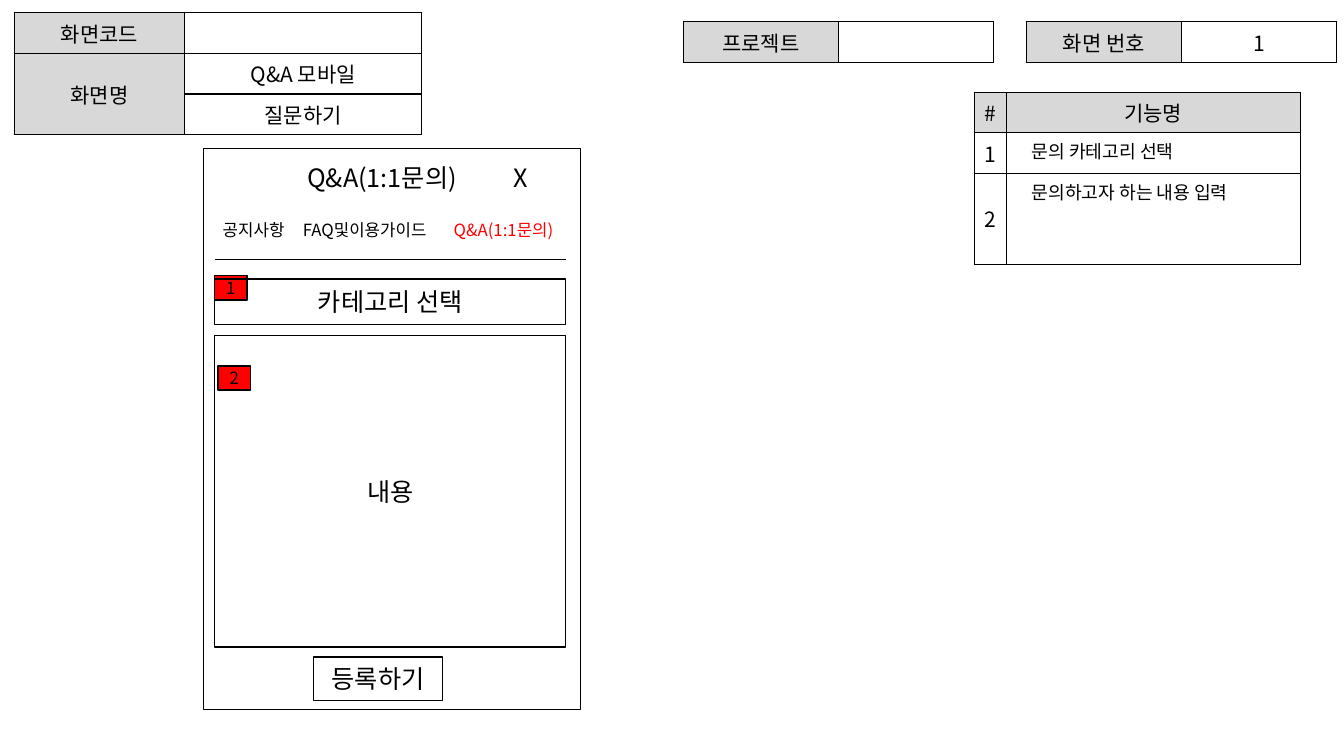
from lxml.etree import SubElement
from pptx import Presentation
from pptx.dml.color import RGBColor
from pptx.enum.shapes import MSO_CONNECTOR, MSO_SHAPE
from pptx.enum.text import MSO_ANCHOR, MSO_AUTO_SIZE, PP_ALIGN
from pptx.oxml import parse_xml
from pptx.oxml.ns import nsdecls, qn
from pptx.util import Pt

FONT = "Noto Sans CJK KR"
INK = {"black": "000000", "white": "FFFFFF", "gray": "D8D8D8", "red": "FF0000"}
BOX = {"word_wrap": True, "vertical_anchor": MSO_ANCHOR.MIDDLE}
NOTE = {"word_wrap": True, "auto_size": MSO_AUTO_SIZE.SHAPE_TO_FIT_TEXT}


def apply(item, form):
    for name, value in form.items():
        setattr(item, name, value)


def color(name):
    return RGBColor.from_string(INK[name])


def paint(fill, name):
    fill.solid()
    fill.fore_color.rgb = color(name)


def add_run(para, text, size, ink="black"):
    run = para.add_run()
    run.text = text
    apply(run.font, {"name": FONT, "size": Pt(size)})
    run.font.color.rgb = color(ink)
    SubElement(run.font._element, qn("a:ea"), typeface=FONT)


def add_tabs(para, stops):
    tabs = SubElement(para._p.get_or_add_pPr(), qn("a:tabLst"))
    for stop in stops:
        SubElement(tabs, qn("a:tab"), pos=str(Pt(stop)), algn="l")


def add_box(slide, area, text="", size=18, fill=None):
    box = slide.shapes.add_shape(MSO_SHAPE.RECTANGLE, *map(Pt, area))
    box.shadow.inherit = False
    if fill:
        paint(box.fill, fill)
    else:
        box.fill.background()
    box.line.width = Pt(1)
    box.line.color.rgb = color("black")
    apply(box.text_frame, BOX)
    if text:
        para = box.text_frame.paragraphs[0]
        para.alignment = PP_ALIGN.CENTER
        add_run(para, text, size)


def add_note(slide, area, runs, size, stops):
    frame = slide.shapes.add_textbox(*map(Pt, area)).text_frame
    apply(frame, NOTE)
    para = frame.paragraphs[0]
    add_tabs(para, stops)
    for text, ink in runs:
        add_run(para, text, size, ink)


def add_rule(slide, left, right, top):
    rule = slide.shapes.add_connector(
        MSO_CONNECTOR.STRAIGHT, Pt(left), Pt(top), Pt(right), Pt(top))
    rule.line.width = Pt(0.5)
    rule.line.color.rgb = color("black")
    SubElement(rule._element.spPr, qn("a:effectLst"))


def add_edges(cell):
    props = cell._tc.get_or_add_tcPr()
    for spot, side in enumerate("LRTB"):
        props.insert(spot, parse_xml(
            f'<a:ln{side} {nsdecls("a")} w="{Pt(1)}"><a:solidFill>'
            f'<a:srgbClr val="{INK["black"]}"/></a:solidFill></a:ln{side}>'))


def fill_cell(cell, text, shade, left=False):
    paint(cell.fill, shade)
    add_edges(cell)
    cell.vertical_anchor = MSO_ANCHOR.TOP if left else MSO_ANCHOR.MIDDLE
    para = cell.text_frame.paragraphs[0]
    if left:
        para._p.get_or_add_pPr().set("marL", str(Pt(10.8)))
    else:
        para.alignment = PP_ALIGN.CENTER
    if text:
        add_run(para, text, 13 if left else 15)
    else:
        SubElement(para._p, qn("a:endParaRPr"), sz="1500")


def add_grid(slide, left, top, cols, rows, texts, shaded, lefts=()):
    grid = slide.shapes.add_table(
        len(rows), len(cols), Pt(left), Pt(top), Pt(sum(cols)), Pt(sum(rows))).table
    apply(grid, {"first_row": False, "horz_banding": False})
    for col, width in zip(grid.columns, cols):
        col.width = Pt(width)
    for row, height in zip(grid.rows, rows):
        row.height = Pt(height)
    for r, line in enumerate(texts):
        for c, text in enumerate(line):
            shade = "gray" if (r, c) in shaded else "white"
            fill_cell(grid.cell(r, c), text, shade, (r, c) in lefts)
    return grid


def main():
    deck = Presentation()
    apply(deck, {"slide_width": Pt(960), "slide_height": Pt(540)})
    slide = deck.slides.add_slide(deck.slide_layouts[6])

    screen = add_grid(
        slide, 10.2, 9.2, [121.7, 169.2], [21.6] * 3,
        [["화면코드", ""], ["화면명", "Q&A 모바일"], ["", "질문하기"]],
        [(0, 0), (1, 0), (2, 0)])
    screen.cell(1, 0).merge(screen.cell(2, 0))
    for left, label, value in [(733, "화면 번호", "1"), (488, "프로젝트", "")]:
        add_grid(slide, left, 15.6, [110.8] * 2, [21], [[label, value]], [(0, 0)])
    add_grid(
        slide, 696, 66, [23, 209.7], [22.3, 26, 64.8],
        [["#", "기능명"], ["1", "문의 카테고리 선택"], ["2", "문의하고자 하는 내용 입력"]],
        [(0, 0), (0, 1)], [(1, 1), (2, 1)])

    for left, top, mark in [(153.4, 197, "1"), (155.8, 261.4, "2")]:
        add_box(slide, (left, top, 23, 17.3), mark, 12, "red")
    add_box(slide, (145.4, 106, 269.3, 401))
    add_note(slide, (212.4, 112.3, 200.9, 28.8),
             [("Q&A(1:1문의)\tX", "black")], 18, [147.5])
    add_note(slide, (152, 153.4, 262, 21.6),
             [("공지사항\tFAQ및이용가이드\t", "black"), ("Q&A(1:1문의)", "red")],
             12, [57.2, 165])
    add_rule(slide, 153.4, 404, 185)
    for area, text in [((153.4, 199.4, 250.6, 32.4), "카테고리 선택"),
                       ((153.4, 239.8, 250.6, 222.5), "내용"),
                       ((223.9, 469.4, 92.2, 31), "등록하기")]:
        add_box(slide, area, text)

    deck.save("out.pptx")


if __name__ == "__main__":
    main()
